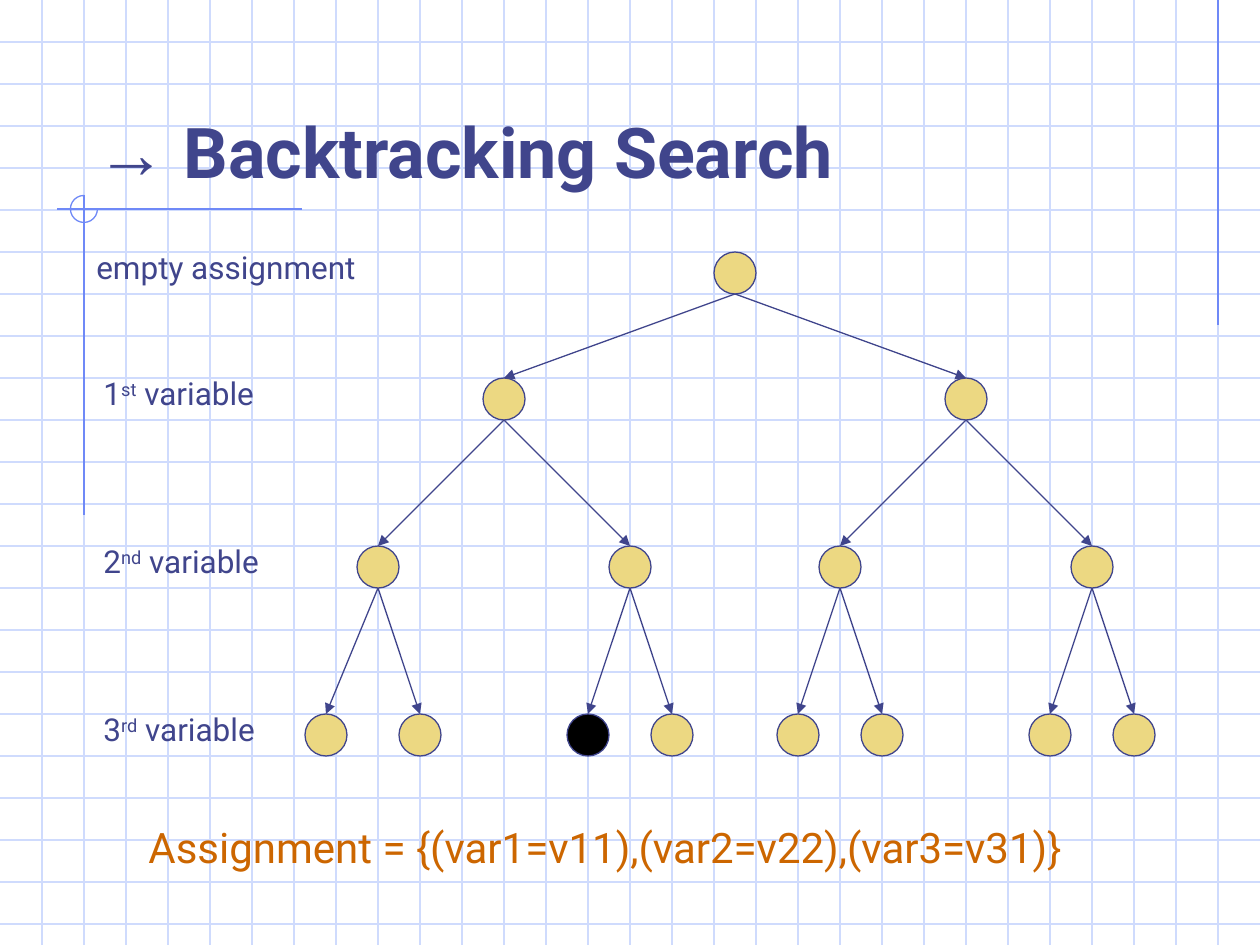
from lxml import etree
from pptx import Presentation
from pptx import util as u
from pptx.dml.color import RGBColor
from pptx.enum import shapes, text
from pptx.oxml.ns import qn

PX = 914400 / 126
WIDTH, HEIGHT = 1260, 945
GRID = 42
NODE = 42

INK, GRID_BLUE, RULE_BLUE = "40458C", "CFDBFD", "6F89F7"
SAND, BLACK, ORANGE = "ECD882", "000000", "CC6600"

# Centres of the nodes: one row per depth, two children per parent
ROW_Y = [273, 399, 567, 735]
TREE_X = [
    [735],
    [504, 966],
    [378, 630, 840, 1092],
    [326, 420, 588, 672, 798, 882, 1050, 1134],
]
GOAL = (3, 2)


def px(value):
    return u.Emu(round(value * PX))


def color(value):
    return RGBColor.from_string(value)


def set_line(shape, line_color):
    shape.line.color.rgb = color(line_color)
    shape.line.width = u.Pt(0.75)


def add_line(slide, x1, y1, x2, y2, line_color, arrow=False):
    line = slide.shapes.add_connector(
        shapes.MSO_CONNECTOR.STRAIGHT, px(x1), px(y1), px(x2), px(y2))
    set_line(line, line_color)
    properties = line._element.spPr
    if arrow:
        etree.SubElement(properties.find(qn("a:ln")), qn("a:tailEnd"), type="triangle")
    etree.SubElement(properties, qn("a:effectLst"))


def add_circle(slide, x, y, size, line_color, fill=None, kind=shapes.MSO_SHAPE.OVAL):
    """Add a round shape centred on x, y."""
    circle = slide.shapes.add_shape(
        kind, px(x - size / 2), px(y - size / 2), px(size), px(size))
    circle.shadow.inherit = False
    if fill:
        circle.fill.solid()
        circle.fill.fore_color.rgb = color(fill)
    else:
        circle.fill.background()
    set_line(circle, line_color)
    return circle


def add_text(slide, left, top, width, height, runs, size=18, font="Roboto",
             text_color=INK, bold=False, wrap=False, anchor=text.MSO_ANCHOR.TOP):
    """Add a text box; each run is (words, options), options being font and baseline."""
    box = slide.shapes.add_textbox(px(left), px(top), px(width), px(height))
    frame = box.text_frame
    frame.word_wrap = wrap
    frame.auto_size = text.MSO_AUTO_SIZE.NONE if wrap else text.MSO_AUTO_SIZE.SHAPE_TO_FIT_TEXT
    frame.vertical_anchor = anchor
    paragraph = frame.paragraphs[0]
    for words, options in runs:
        run = paragraph.add_run()
        run.text = words
        run.font.name = options.get("font", font)
        run.font.size = u.Pt(size)
        run.font.bold = bold
        run.font.color.rgb = color(text_color)
        if "baseline" in options:
            run.font._element.set("baseline", str(options["baseline"] * 1000))


def draw_background(slide):
    # Squared paper
    for y in range(GRID, HEIGHT, GRID):
        add_line(slide, 0, y, WIDTH, y, GRID_BLUE)
    for x in range(GRID, WIDTH, GRID):
        add_line(slide, x, 0, x, HEIGHT, GRID_BLUE)
    # Rules and the three-quarter circle where they cross
    add_line(slide, 1218, 0, 1218, 325, RULE_BLUE)
    add_line(slide, 302, 209, 57, 209, RULE_BLUE)
    add_line(slide, 84, 195, 84, 515, RULE_BLUE)
    arc = add_circle(slide, 84, 209, 27, RULE_BLUE, kind=shapes.MSO_SHAPE.ARC)
    arc.adjustments[0] = 0
    arc.adjustments[1] = 162  # 270 degrees, in units of 100000 / 60000


def draw_tree(slide):
    for depth, (y, row) in enumerate(zip(ROW_Y, TREE_X)):
        for index, x in enumerate(row):
            fill = BLACK if (depth, index) == GOAL else SAND
            add_circle(slide, x, y, NODE, INK, fill)
            if depth:
                parent_x = TREE_X[depth - 1][index // 2]
                add_line(slide, parent_x, ROW_Y[depth - 1] + NODE / 2,
                         x, y - NODE / 2, INK, arrow=True)


def draw_labels(slide):
    add_text(slide, 84, 242, 300, 50, [("empty assignment", {})])
    ordinals = [("1", "st", 184), ("2", "nd", 191), ("3", "rd", 188)]
    for (number, suffix, width), y in zip(ordinals, ROW_Y[1:]):
        runs = [(number, {}), (suffix, {"baseline": 30}), (" variable", {})]
        add_text(slide, 91, y - 31, width, 50, runs)


def main():
    presentation = Presentation()
    presentation.slide_width, presentation.slide_height = px(WIDTH), px(HEIGHT)
    slide = presentation.slides.add_slide(presentation.slide_layouts[6])

    draw_background(slide)
    add_text(slide, 84, 42, 1071, 157,
             [("→", {"font": "Arial"}), (" Backtracking Search", {})],
             size=40, bold=True, wrap=True, anchor=text.MSO_ANCHOR.BOTTOM)
    draw_tree(slide)
    draw_labels(slide)
    add_text(slide, 136, 815, 974, 63,
             [("Assignment = {(var1=v11),(var2=v22),(var3=v31)}", {})],
             size=24, text_color=ORANGE)

    presentation.save("out.pptx")


if __name__ == "__main__":
    main()
